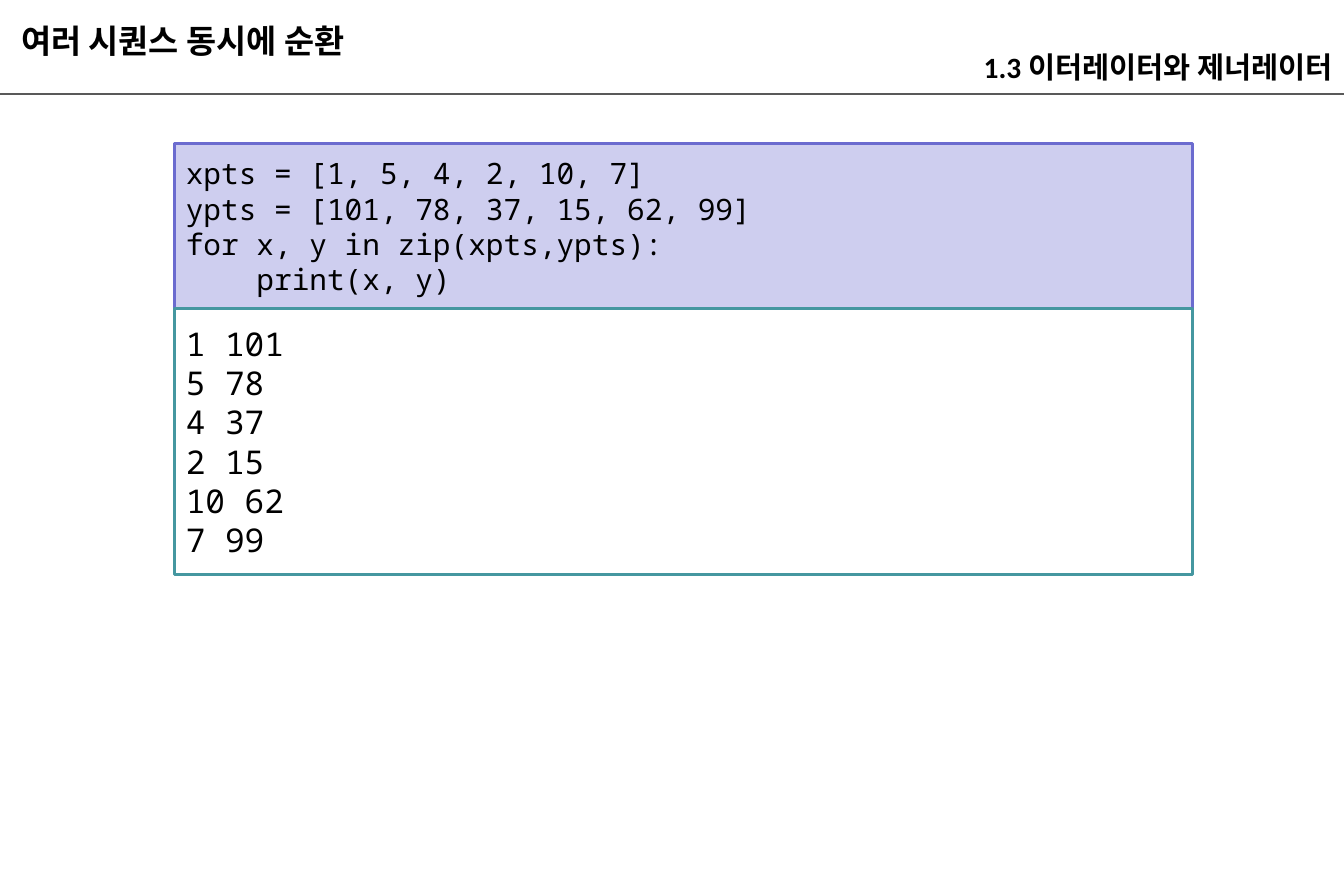
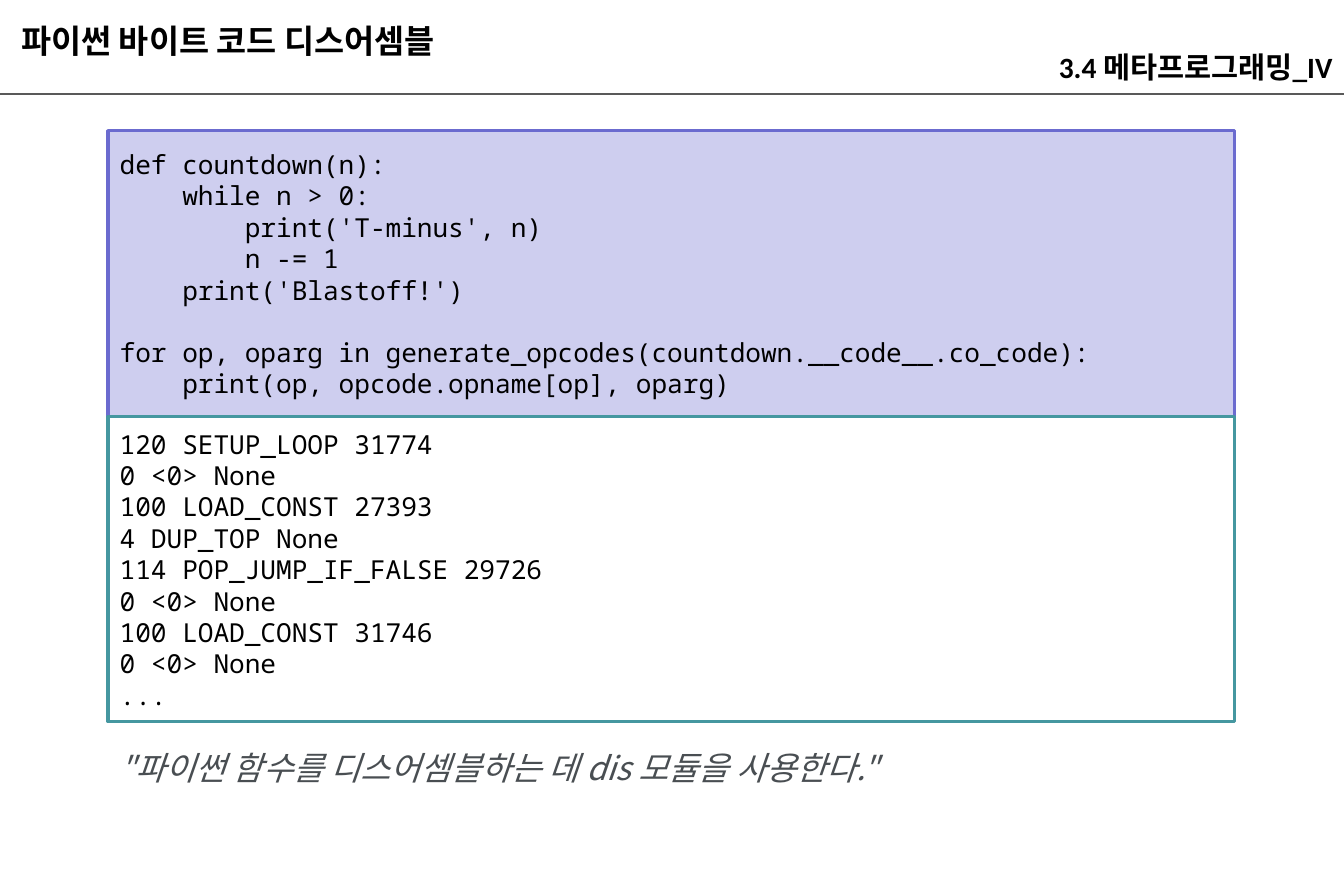
"""Build two Python lecture slides showing code with its output."""
import lxml.etree
import pptx
import pptx.dml.color
import pptx.enum.shapes
import pptx.enum.text
import pptx.oxml.ns
import pptx.util

Pt = pptx.util.Pt
ALIGN = pptx.enum.text.PP_ALIGN
ANCHOR = pptx.enum.text.MSO_ANCHOR
WIDTH, HEIGHT = 822.24, 540
RULE_TOP = 57.6
KOREAN_FONT = "Noto Sans CJK KR"
COLORS = {"text": "000000", "rule": "595959", "note": "494E52"}
CODE_STYLE = {"fill": "CECEEF", "line": "6B6BCF"}
OUTPUT_STYLE = {"fill": "FFFFFF", "line": "4597A0"}
HEADING_FRAME = {
    "word_wrap": True,
    "vertical_anchor": ANCHOR.BOTTOM,
    "margin_top": Pt(1.44),
    "margin_bottom": Pt(1.44),
}
PANEL_FRAME = {"word_wrap": True, "vertical_anchor": ANCHOR.MIDDLE}
NOTE_FRAME = {"word_wrap": True, "vertical_anchor": ANCHOR.TOP}

ZIP_CODE = """xpts = [1, 5, 4, 2, 10, 7]
ypts = [101, 78, 37, 15, 62, 99]
for x, y in zip(xpts,ypts):
    print(x, y)"""
ZIP_OUTPUT = """1 101
5 78
4 37
2 15
10 62
7 99"""
OPCODE_CODE = """def countdown(n):
    while n > 0:
        print('T-minus', n)
        n -= 1
    print('Blastoff!')

for op, oparg in generate_opcodes(countdown.__code__.co_code):
    print(op, opcode.opname[op], oparg)"""
OPCODE_OUTPUT = """120 SETUP_LOOP 31774
0 <0> None
100 LOAD_CONST 27393
4 DUP_TOP None
114 POP_JUMP_IF_FALSE 29726
0 <0> None
100 LOAD_CONST 31746
0 <0> None
..."""


def color(value):
    return pptx.dml.color.RGBColor.from_string(value)


def set_values(target, values):
    for name, value in values.items():
        setattr(target, name, value)


def write_text(box, text, frame_values, font_values, ink=COLORS["text"], align=ALIGN.LEFT):
    frame = box.text_frame
    set_values(frame, frame_values)
    para, gap = frame.paragraphs[0], 0
    for index, line in enumerate(text.split("\n")):
        if not line:
            gap = font_values["size"] * 1.18
            continue
        if index:
            para = frame.add_paragraph()
        para.alignment = align
        if gap:
            para.space_before, gap = Pt(round(gap / Pt(1))), 0
        span = para.add_run()
        span.text = line
        set_values(span.font, font_values)
        span.font.color.rgb = color(ink)
        east_asian = lxml.etree.SubElement(span.font._element, pptx.oxml.ns.qn("a:ea"))
        east_asian.set("typeface", KOREAN_FONT)


def add_text(page, bounds, text, frame_values, font_values, **options):
    box = page.shapes.add_textbox(*map(Pt, bounds))
    write_text(box, text, frame_values, font_values, **options)


def add_heading(page, bounds, text, size, align):
    font = {"name": "Calibri", "size": Pt(size), "bold": True}
    add_text(page, bounds, text, HEADING_FRAME, font, align=align)


def add_rule(page):
    rule = page.shapes.add_connector(
        pptx.enum.shapes.MSO_CONNECTOR.STRAIGHT, 0, Pt(RULE_TOP), Pt(WIDTH), Pt(RULE_TOP)
    )
    rule.line.color.rgb = color(COLORS["rule"])
    rule.line.width = Pt(1.5)
    lxml.etree.SubElement(rule._element.spPr, pptx.oxml.ns.qn("a:effectLst"))


def add_page(deck, title, section):
    page = deck.slides.add_slide(deck.slide_layouts[6])
    add_rule(page)
    add_heading(page, (5.8, 6.5, 467, 31.7), title, 20, ALIGN.LEFT)
    add_heading(page, (440, 21.6, WIDTH - 440, 31.7), section, 18, ALIGN.RIGHT)
    return page


def add_panel(page, bounds, text, size, style):
    panel = page.shapes.add_shape(
        pptx.enum.shapes.MSO_SHAPE.RECTANGLE, *map(Pt, bounds)
    )
    panel.shadow.inherit = False
    panel.fill.solid()
    panel.fill.fore_color.rgb = color(style["fill"])
    panel.line.color.rgb = color(style["line"])
    panel.line.width = Pt(2)
    write_text(panel, text, PANEL_FRAME, {"name": "Noto Sans Mono", "size": Pt(size)})


def add_listing(page, left, top, width, panels):
    for text, size, height, style in panels:
        add_panel(page, (left, top, width, height), text, size, style)
        top += height


def add_note(page, bounds, text):
    font = {"name": KOREAN_FONT, "size": Pt(20), "italic": True}
    add_text(page, bounds, text, NOTE_FRAME, font, ink=COLORS["note"])


def main():
    deck = pptx.Presentation()
    set_values(deck, {"slide_width": Pt(WIDTH), "slide_height": Pt(HEIGHT)})

    page = add_page(deck, "여러 시퀀스 동시에 순환", "1.3 이터레이터와 제너레이터")
    add_listing(page, 106.6, 87.8, 622.8, [
        (ZIP_CODE, 18, 100.8, CODE_STYLE),
        (ZIP_OUTPUT, 20, 162.7, OUTPUT_STYLE),
    ])

    page = add_page(deck, "파이썬 바이트 코드 디스어셈블", "3.4 메타프로그래밍_IV")
    add_listing(page, 66.2, 79.9, 689, [
        (OPCODE_CODE, 16, 175, CODE_STYLE),
        (OPCODE_OUTPUT, 16, 186.5, OUTPUT_STYLE),
    ])
    add_note(page, (66.2, 453.6, 698.4, 31.7),
             '"파이썬 함수를 디스어셈블하는 데 dis 모듈을 사용한다."')

    deck.save("out.pptx")


if __name__ == "__main__":
    main()
